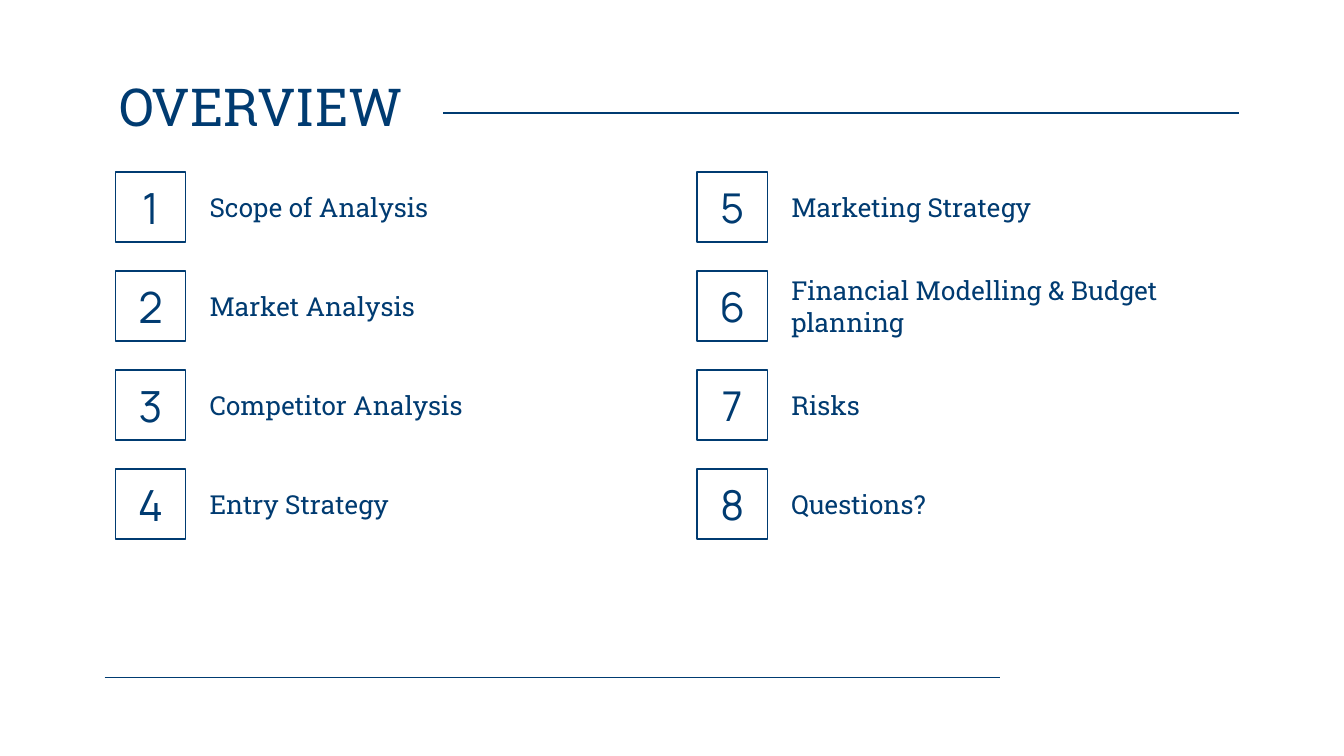
import pptx
import pptx.dml.color
import pptx.enum.shapes
import pptx.enum.text
import pptx.oxml.ns
import pptx.util
import lxml.etree

Pt = pptx.util.Pt
NAVY = "003B71"
HEADING_FONT = "Roboto Slab"
NUMBER_FONT = "Manrope"

TOPICS_LEFT = ["Scope of Analysis", "Market Analysis", "Competitor Analysis", "Entry Strategy"]
TOPICS_RIGHT = ["Marketing Strategy", "Financial Modelling & Budget planning", "Risks", "Questions?"]


def colour(hex_string):
    return pptx.dml.color.RGBColor.from_string(hex_string)


def write(holder, words, size, font, anchor, align):
    frame = holder.text_frame
    frame.word_wrap = True
    frame.vertical_anchor = anchor
    frame.margin_left = frame.margin_right = Pt(7.2)
    frame.margin_top = frame.margin_bottom = Pt(7.2)
    paragraph = frame.paragraphs[0]
    paragraph.alignment = align
    run = paragraph.add_run()
    run.text = words
    run.font.size = Pt(size)
    run.font.name = font
    run.font.color.rgb = colour(NAVY)


def add_label(slide, left, top, width, height, words, size, anchor):
    label = slide.shapes.add_textbox(Pt(left), Pt(top), Pt(width), Pt(height))
    write(label, words, size, HEADING_FONT, anchor, pptx.enum.text.PP_ALIGN.LEFT)


def add_rule(slide, left, right, y):
    rule = slide.shapes.add_connector(
        pptx.enum.shapes.MSO_CONNECTOR.STRAIGHT, Pt(left), Pt(y), Pt(right), Pt(y))
    rule.line.color.rgb = colour(NAVY)
    rule.line.width = Pt(0.75)
    lxml.etree.SubElement(rule._element.spPr, pptx.oxml.ns.qn("a:effectLst"))


def add_number_box(slide, left, top, side, number, size):
    box = slide.shapes.add_shape(
        pptx.enum.shapes.MSO_SHAPE.RECTANGLE, Pt(left), Pt(top), Pt(side), Pt(side))
    box.shadow.inherit = False
    box.fill.background()
    box.line.color.rgb = colour(NAVY)
    box.line.width = Pt(0.75)
    write(box, str(number), size, NUMBER_FONT,
          pptx.enum.text.MSO_ANCHOR.MIDDLE, pptx.enum.text.PP_ALIGN.CENTER)


def add_header(slide, left, top, width, height):
    add_label(slide, left, top, width, height, "OVERVIEW", 28, pptx.enum.text.MSO_ANCHOR.TOP)
    # Rule from the end of the title to the right edge
    add_rule(slide, left + 180.7, left + width + 0.6, top + 28.1)


def add_topic_column(slide, left, top, width, height, topics, first_number, number_size):
    side = 37.6
    label_offset = 43.3
    pitch = (height - side) / (len(topics) - 1)
    for row, topic in enumerate(topics):
        row_top = top + row * pitch
        add_number_box(slide, left, row_top, side, first_number + row, number_size)
        add_label(slide, left + label_offset, row_top, width - label_offset, side,
                  topic, 14, pptx.enum.text.MSO_ANCHOR.MIDDLE)


def main():
    deck = pptx.Presentation()
    deck.slide_width = Pt(720)
    deck.slide_height = Pt(405)
    slide = deck.slides.add_slide(deck.slide_layouts[6])

    # Footer rule
    add_rule(slide, 56, 535.7, 362.9)

    # Title with its rule
    add_header(slide, 56.7, 32.4, 606.6, 45.1)

    # Numbered topics in two columns
    add_topic_column(slide, 61.9, 92.2, 284.5, 196.6, TOPICS_LEFT, 1, 23)
    add_topic_column(slide, 373.5, 92.2, 284.5, 196.6, TOPICS_RIGHT, len(TOPICS_LEFT) + 1, 22)

    deck.save("out.pptx")


if __name__ == "__main__":
    main()
